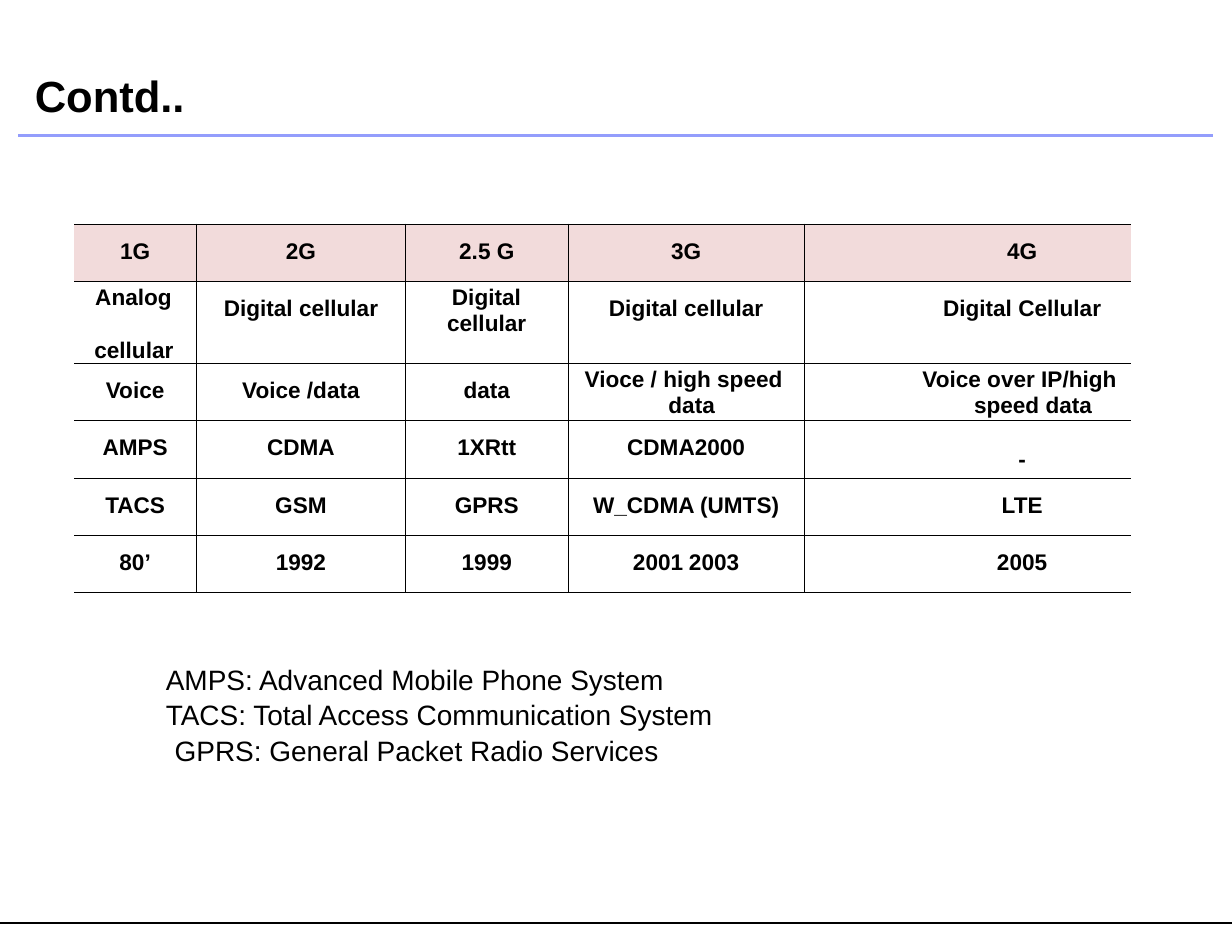
"""Build the slide comparing mobile network generations."""
from dataclasses import dataclass

from lxml.etree import SubElement
from pptx import Presentation
from pptx.dml.color import RGBColor
from pptx.enum.shapes import MSO_CONNECTOR
from pptx.enum.text import MSO_ANCHOR, MSO_AUTO_SIZE, PP_ALIGN
from pptx.oxml.ns import qn
from pptx.util import Cm, Pt

COLORS = {"ink": "000000", "rule": "939DFC", "header": "F2DBDB"}
COLUMN_WIDTHS = (2.77, 4.75, 3.68, 5.36, 7.42)
ROW_HEIGHTS = (1.3, 1.86, 1.3, 1.3, 1.3, 1.3)
CELL_TOP = 0.33
LAST_COLUMN_INDENT = 2.46
YEAR_TAB = 1.68


@dataclass(frozen=True)
class Line:
    """A line of text with its left indent in centimetres."""
    text: str
    indent: float = 0


@dataclass(frozen=True)
class Rule:
    """A horizontal rule, in centimetres and points."""
    left: float
    right: float
    top: float
    color: str
    width: float


RULES = (
    Rule(0.41, 27.51, 3.07, "rule", 1.75),
    Rule(0, 27.94, 20.93, "ink", 1),
)
ROWS = (
    ("1G", "2G", "2.5 G", "3G", "4G"),
    (
        (Line("Analog", 0.48), Line("cellular", 0.46)),
        "Digital cellular",
        (Line("Digital", 1.05), Line("cellular", 0.94)),
        "Digital cellular",
        "Digital Cellular",
    ),
    (
        "Voice",
        "Voice /data",
        "data",
        (Line("Vioce / high speed", 0.38), Line("data", 2.28)),
        (Line("Voice over IP/high", 2.68), Line("speed data", 3.85)),
    ),
    ("AMPS", "CDMA", "1XRtt", "CDMA2000", "-"),
    ("TACS", "GSM", "GPRS", "W_CDMA (UMTS)", "LTE"),
    ("80’", "1992", "1999", "2001\t2003", "2005"),
)
NOTES = (
    Line("AMPS: Advanced Mobile Phone System"),
    Line("TACS: Total Access Communication System"),
    Line("GPRS: General Packet Radio Services", 0.2),
)


def color_of(name: str) -> RGBColor:
    """Look up a palette colour."""
    return RGBColor.from_string(COLORS[name])


def write_line(paragraph, line: Line, size: float, bold: bool) -> None:
    """Write one line as a run without a bullet."""
    properties = paragraph._p.get_or_add_pPr()
    properties.set("marL", str(Cm(line.indent)))
    properties.set("indent", "0")
    SubElement(properties, qn("a:buNone"))
    if "\t" in line.text:
        tabs = SubElement(properties, qn("a:tabLst"))
        SubElement(tabs, qn("a:tab"), pos=str(Cm(YEAR_TAB)), algn="l")
    span = paragraph.add_run()
    span.text = line.text
    span.font.name = "Arial"
    span.font.size = Pt(size)
    span.font.bold = bold
    span.font.color.rgb = color_of("ink")


def fill_placeholder(box, place: tuple, lines: tuple, size: float, bold: bool) -> None:
    """Move a placeholder and write its lines."""
    box.left, box.top, box.width, box.height = map(Cm, place)
    frame = box.text_frame
    frame.margin_left = frame.margin_right = frame.margin_bottom = 0
    frame.margin_top = Cm(0.03)
    frame.word_wrap = True
    frame.auto_size = MSO_AUTO_SIZE.NONE
    frame.vertical_anchor = MSO_ANCHOR.TOP
    for index, line in enumerate(lines):
        paragraph = frame.add_paragraph() if index else frame.paragraphs[0]
        write_line(paragraph, line, size, bold)
        paragraph.alignment = PP_ALIGN.LEFT
        paragraph.space_before = Pt(1 if index else 0)


def draw_rule(page, rule: Rule) -> None:
    """Draw a horizontal rule without a shadow."""
    connector = page.shapes.add_connector(
        MSO_CONNECTOR.STRAIGHT,
        Cm(rule.left), Cm(rule.top), Cm(rule.right), Cm(rule.top),
    )
    connector.line.color.rgb = color_of(rule.color)
    connector.line.width = Pt(rule.width)
    SubElement(connector._element.spPr, qn("a:effectLst"))


def set_borders(cell, hidden: str) -> None:
    """Give a cell thin borders except on the hidden side."""
    properties = cell._tc.get_or_add_tcPr()
    for side in "LRTB":
        border = SubElement(properties, qn(f"a:ln{side}"), w=str(Pt(0.5)))
        if side == hidden:
            SubElement(border, qn("a:noFill"))
        else:
            fill = SubElement(border, qn("a:solidFill"))
            SubElement(fill, qn("a:srgbClr"), val=COLORS["ink"])


def write_cell(cell, content: str | tuple, row: int, column: int) -> None:
    """Write and format one table cell."""
    last = column == len(COLUMN_WIDTHS) - 1
    set_borders(cell, "L" if column == 0 else "R" if last else "")
    if row == 0:
        cell.fill.solid()
        cell.fill.fore_color.rgb = color_of("header")
    else:
        cell.fill.background()
    cell.margin_left = cell.margin_right = cell.margin_bottom = 0
    cell.vertical_anchor = MSO_ANCHOR.TOP
    frame = cell.text_frame
    if isinstance(content, str):
        cell.margin_top = Cm(0.6 if content == "-" else CELL_TOP)
        paragraph = frame.paragraphs[0]
        write_line(paragraph, Line(content, LAST_COLUMN_INDENT if last else 0), 14.5, True)
        paragraph.alignment = PP_ALIGN.CENTER
        return
    cell.margin_top = Cm(0.05)
    for index, line in enumerate(content):
        paragraph = frame.add_paragraph() if index else frame.paragraphs[0]
        write_line(paragraph, line, 14.5, True)
        paragraph.alignment = PP_ALIGN.LEFT
        paragraph.line_spacing = Pt(17)
        if index and column == 0:
            paragraph.space_before = Pt(17)


def draw_table(page) -> None:
    """Draw the table of generations."""
    table = page.shapes.add_table(
        len(ROWS), len(COLUMN_WIDTHS), Cm(1.68), Cm(5.08),
        Cm(sum(COLUMN_WIDTHS)), Cm(sum(ROW_HEIGHTS)),
    ).table
    table.first_row = table.horz_banding = False
    for column, width in zip(table.columns, COLUMN_WIDTHS):
        column.width = Cm(width)
    for row, height in zip(table.rows, ROW_HEIGHTS):
        row.height = Cm(height)
    for row, contents in enumerate(ROWS):
        for column, content in enumerate(contents):
            write_cell(table.cell(row, column), content, row, column)


def main() -> None:
    """Build and save the deck."""
    deck = Presentation()
    deck.slide_width, deck.slide_height = Cm(27.94), Cm(21.59)
    page = deck.slides.add_slide(deck.slide_layouts[1])
    for rule in RULES:
        draw_rule(page, rule)
    fill_placeholder(page.shapes.title, (0.79, 1.53, 3.7, 1.27), (Line("Contd.."),), 28, True)
    draw_table(page)
    fill_placeholder(page.placeholders[1], (3.76, 15, 12.7, 2.36), NOTES, 18, False)
    deck.save("out.pptx")


if __name__ == "__main__":
    main()
